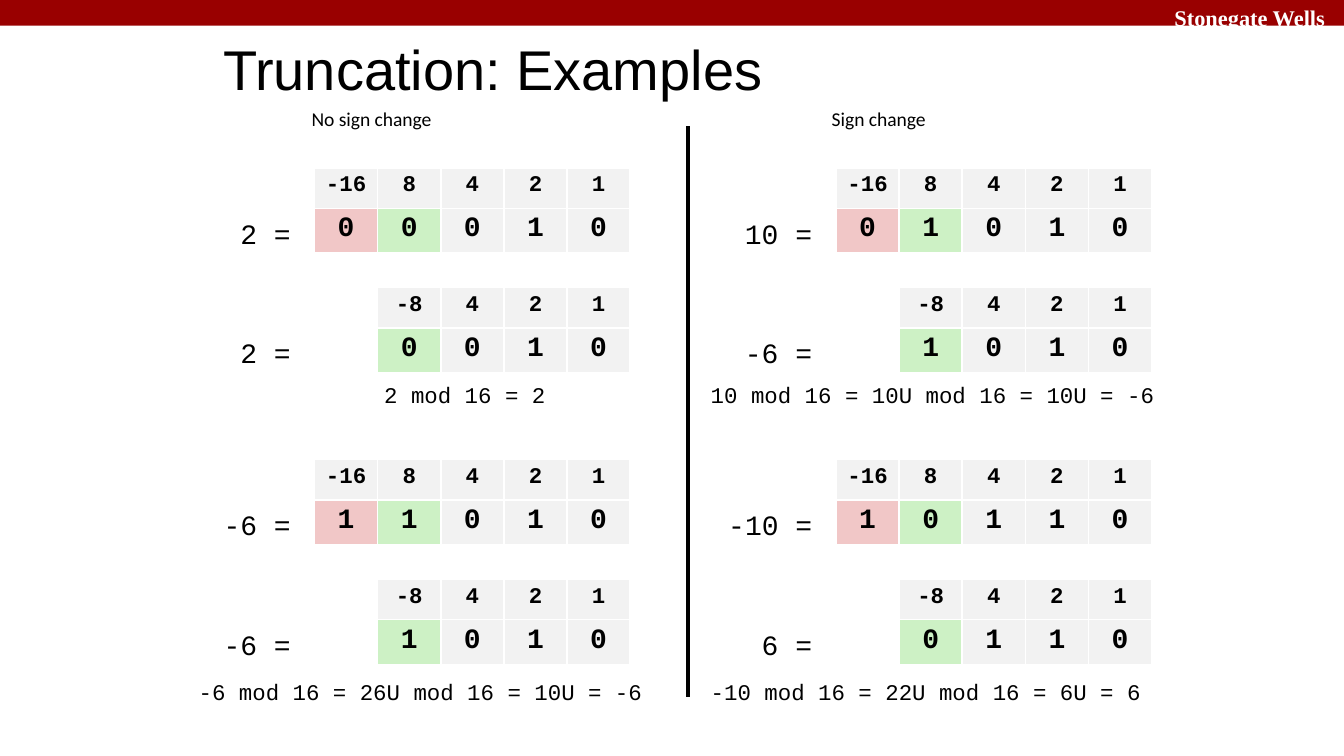
import pptx
import pptx.dml.color
import pptx.enum.shapes
import pptx.enum.text
import pptx.oxml.ns
import pptx.util
from lxml import etree
from pptx.util import Inches

MONO = "Courier New"
BLACK, WHITE, GREY = "000000", "FFFFFF", "F2F2F2"
DROPPED, SIGN, BAR = "F1C7C7", "CDF1C5", "990000"
ALIGN = pptx.enum.text.PP_ALIGN
ANCHOR = pptx.enum.text.MSO_ANCHOR
AUTO_SIZE = pptx.enum.text.MSO_AUTO_SIZE
qn = pptx.oxml.ns.qn

COLUMN_WIDTH = 0.47
ROW_HEIGHTS = (0.3, 0.33)
EXAMPLE_TOPS = (1.25, 3.42)
TRUNCATED_STEP = 0.89
RESULT_TOPS = (2.79, 5)

# Each half: heading, its left and width, table left, label right edge, examples.
# Each example: value, bits, truncated value, equation, equation left and width.
HALVES = [
    ("No sign change", 2.22, 1.11, 2.34, 2.39, [
        ("2", "00010", "2", "2 mod 16 = 2", 2.76, 1.42),
        ("-6", "11010", "-6", "-6 mod 16 = 26U mod 16 = 10U = -6", 1.38, 3.56),
    ]),
    ("Sign change", 6.09, 0.92, 6.22, 6.27, [
        ("10", "01010", "-6", "10 mod 16 = 10U mod 16 = 10U = -6", 5.19, 3.56),
        ("-10", "10110", " 6", "-10 mod 16 = 22U mod 16 = 6U = 6", 5.19, 3.46),
    ]),
]


def color(hex_value):
    return pptx.dml.color.RGBColor.from_string(hex_value)


def set_attributes(target, values):
    for name, value in values.items():
        setattr(target, name, value)


def write(paragraph, text, font_name, size, hex_value=BLACK, bold=False):
    run = paragraph.add_run()
    run.text = text
    set_attributes(run.font, {"name": font_name, "size": pptx.util.Pt(size), "bold": bold})
    run.font.color.rgb = color(hex_value)


def add_text(slide, box, text, font_name, size, hex_value=BLACK, bold=False):
    shape = slide.shapes.add_textbox(*map(Inches, box))
    set_attributes(shape.text_frame, {"word_wrap": False, "auto_size": AUTO_SIZE.NONE})
    write(shape.text_frame.paragraphs[0], text, font_name, size, hex_value, bold)


def add_title(slide, text):
    title = slide.shapes.title
    set_attributes(title, {"left": Inches(1.56), "top": Inches(0.27),
                           "width": Inches(7.19), "height": Inches(0.47)})
    margins = {f"margin_{side}": Inches(0.1) for side in ("left", "top", "right", "bottom")}
    set_attributes(title.text_frame, {**margins, "vertical_anchor": ANCHOR.MIDDLE,
                                      "word_wrap": True, "auto_size": AUTO_SIZE.NONE})
    paragraph = title.text_frame.paragraphs[0]
    paragraph.alignment = ALIGN.LEFT
    write(paragraph, text, "Arial", 30)


def add_header_bar(slide):
    bar = slide.shapes.add_shape(pptx.enum.shapes.MSO_SHAPE.RECTANGLE,
                                 0, 0, Inches(10), Inches(0.19))
    bar.shadow.inherit = False
    bar.fill.solid()
    bar.fill.fore_color.rgb = color(BAR)
    bar.line.fill.background()
    add_text(slide, (8.64, -0.02, 1.43, 0.23), "Stonegate Wells",
             "Times New Roman", 12, WHITE, True)


def add_divider(slide):
    line = slide.shapes.add_connector(pptx.enum.shapes.MSO_CONNECTOR.STRAIGHT,
                                      *map(Inches, (5.12, 0.94, 5.12, 5.19)))
    line.line.color.rgb = color(BLACK)
    line.line.width = pptx.util.Pt(2)
    etree.SubElement(line._element.spPr, qn("a:effectLst"))


def add_borders(cell):
    properties = cell._tc.get_or_add_tcPr()
    for position, side in enumerate(("lnL", "lnR", "lnT", "lnB")):
        border = etree.Element(qn(f"a:{side}"), w="12700")
        fill = etree.SubElement(border, qn("a:solidFill"))
        etree.SubElement(fill, qn("a:srgbClr"), val=WHITE)
        properties.insert(position, border)


def format_cell(cell, text, size, fill):
    set_attributes(cell, {"margin_left": Inches(0.07), "margin_right": Inches(0.07),
                          "margin_top": Inches(0.04), "margin_bottom": Inches(0.04)})
    cell.fill.solid()
    cell.fill.fore_color.rgb = color(fill)
    add_borders(cell)
    paragraph = cell.text_frame.paragraphs[0]
    paragraph.alignment = ALIGN.CENTER
    if text:
        write(paragraph, text, MONO, size, bold=True)
    else:
        # An empty cell needs a small font so that its row keeps its height
        etree.SubElement(paragraph._p, qn("a:endParaRPr"), sz=str(size * 100))


def add_bit_table(slide, left, top, weights, bits, bit_fills):
    frame = slide.shapes.add_table(2, len(bits), Inches(left), Inches(top),
                                   Inches(COLUMN_WIDTH * len(bits)), Inches(sum(ROW_HEIGHTS)))
    table = frame.table
    set_attributes(table, {"first_row": False, "horz_banding": False})
    for column in table.columns:
        column.width = Inches(COLUMN_WIDTH)
    for row, height in zip(table.rows, ROW_HEIGHTS):
        row.height = Inches(height)
    for index, (weight, bit, fill) in enumerate(zip(weights, bits, bit_fills)):
        format_cell(table.cell(0, index), weight, 12, GREY if weight else WHITE)
        format_cell(table.cell(1, index), bit, 15, fill)


def add_label(slide, right, table_top, value):
    text = f"{value} = "
    width = 0.2 + 0.125 * len(text)
    add_text(slide, (right - width, table_top + 0.31, width, 0.35), text, MONO, 15)


def add_example(slide, table_left, label_right, top, result_top, example):
    value, bits, truncated, equation, equation_left, equation_width = example
    lower_top = top + TRUNCATED_STEP
    # Five-bit number
    add_label(slide, label_right, top, value)
    add_bit_table(slide, table_left, top, ["-16", "8", "4", "2", "1"], list(bits),
                  [DROPPED, SIGN] + [GREY] * 3)
    # Number with the highest bit dropped
    add_label(slide, label_right, lower_top, truncated)
    add_bit_table(slide, table_left, lower_top, ["", "-8", "4", "2", "1"], ["", *bits[1:]],
                  [WHITE, SIGN] + [GREY] * 3)
    add_text(slide, (equation_left, result_top, equation_width, 0.3), equation, MONO, 12)


def main():
    # Widescreen page, 16 to 9
    presentation = pptx.Presentation()
    set_attributes(presentation, {"slide_width": Inches(10),
                                  "slide_height": Inches(10) * 9 // 16})
    slide = presentation.slides.add_slide(presentation.slide_layouts[5])

    # Header
    add_header_bar(slide)
    add_title(slide, "Truncation: Examples")

    # Two halves of worked examples
    add_divider(slide)
    for heading, left, width, table_left, label_right, examples in HALVES:
        add_text(slide, (left, 0.75, width, 0.28), heading, "Calibri", 10.5)
        for top, result_top, example in zip(EXAMPLE_TOPS, RESULT_TOPS, examples):
            add_example(slide, table_left, label_right, top, result_top, example)

    presentation.save("out.pptx")


main()
